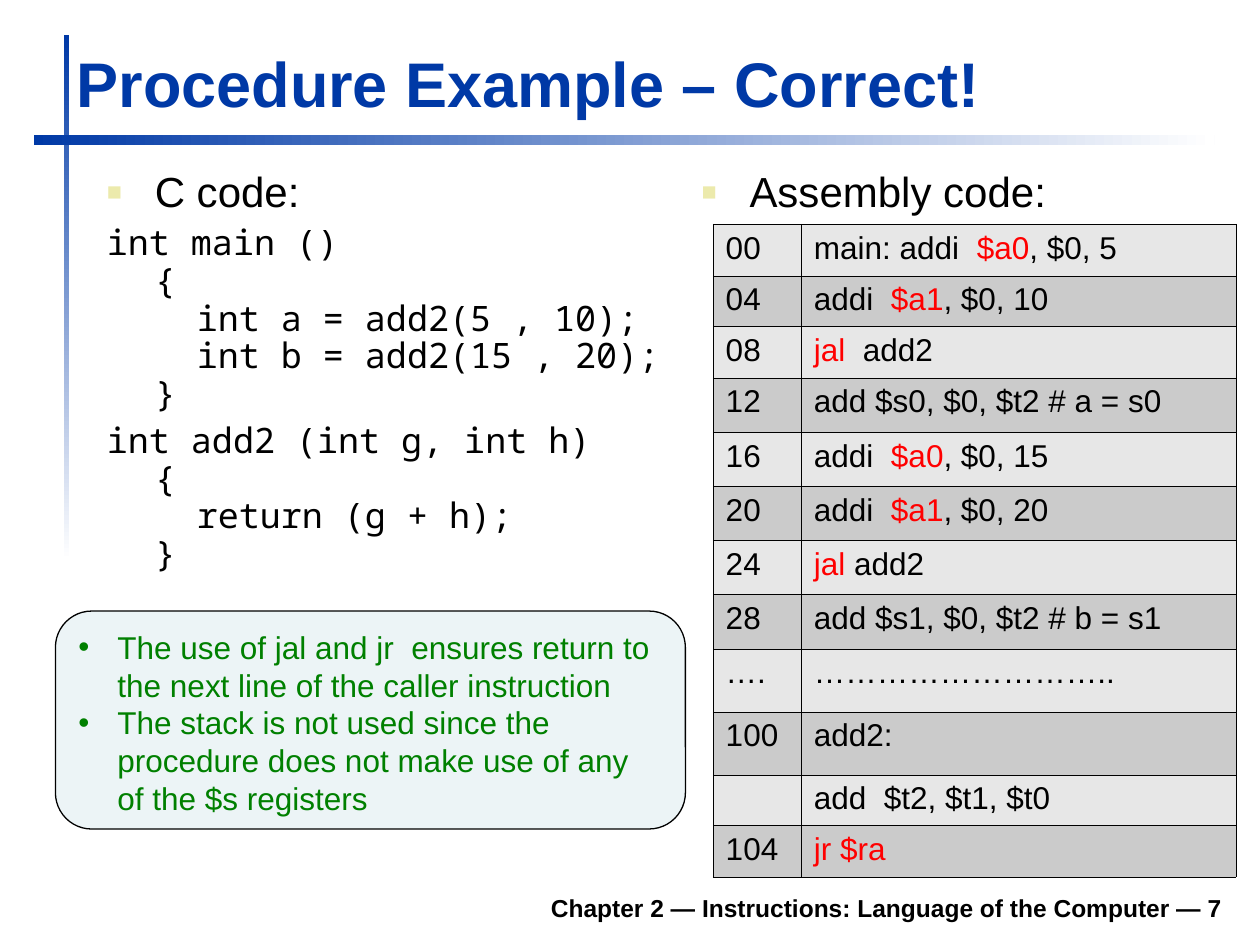
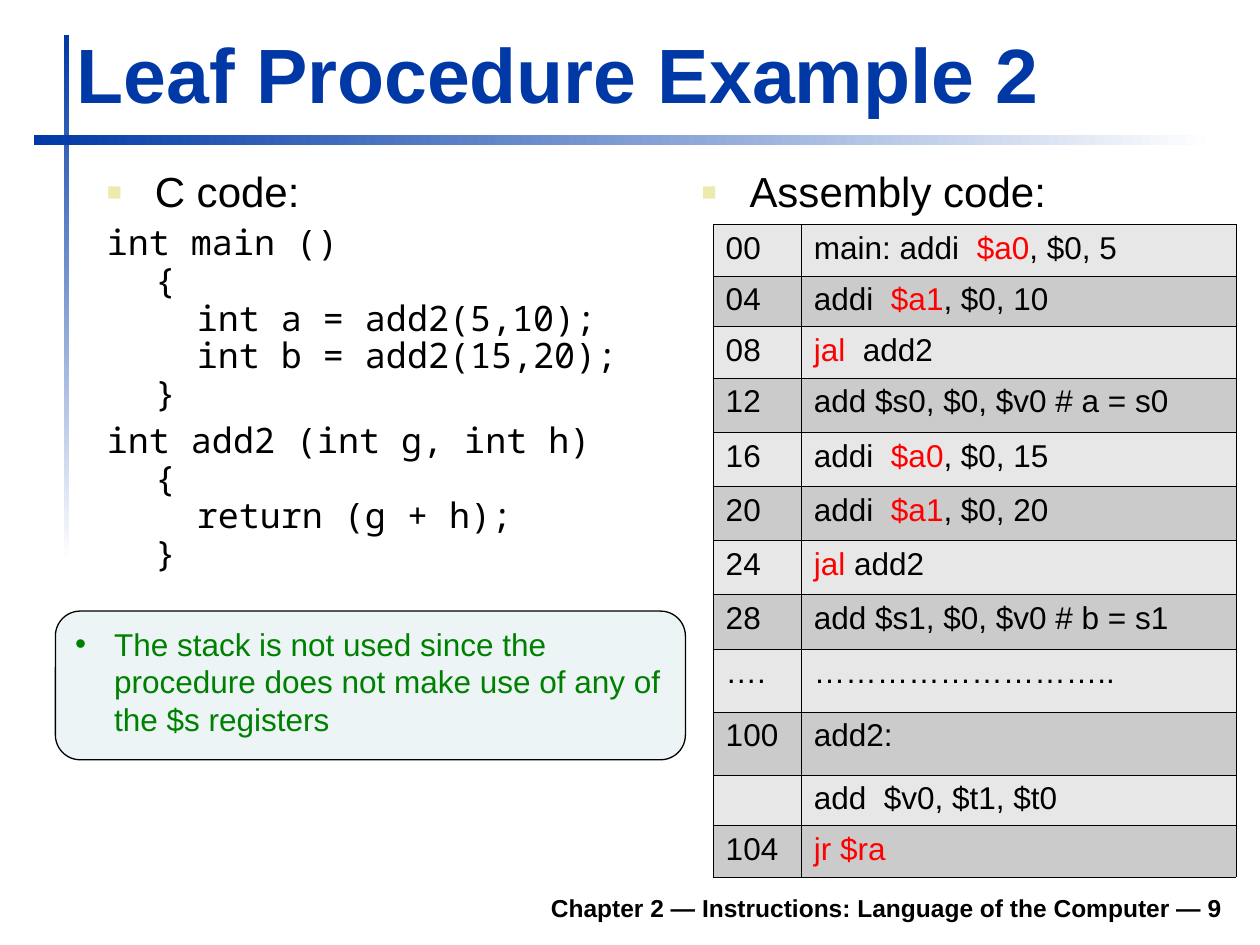
from lxml import etree
from pptx import Presentation
from pptx.dml.color import RGBColor
from pptx.enum.shapes import MSO_SHAPE
from pptx.enum.text import MSO_ANCHOR, PP_ALIGN
from pptx.oxml.ns import qn
from pptx.util import Inches, Pt

RECT, ROUND = MSO_SHAPE.RECTANGLE, MSO_SHAPE.ROUNDED_RECTANGLE
TOP, BOTTOM = MSO_ANCHOR.TOP, MSO_ANCHOR.BOTTOM
LEFT, RIGHT = PP_ALIGN.LEFT, PP_ALIGN.RIGHT
SANS, MONO = "Arial", "Noto Sans Mono"
HUES = {"blue": "0039A6", "white": "FFFFFF", "black": "000000",
        "red": "FF0000", "green": "008000", "sand": "ECEAAC",
        "mist": "ECF4F6", "light": "E7E7E7", "dark": "CBCBCB"}
RGB = {name: RGBColor.from_string(code) for name, code in HUES.items()}


def write(frame, text, size, hue="black", font=SANS, bold=False,
          align=LEFT, indent=0, bullet=None, space=0, pitch=None):
    """Add a paragraph; parts between asterisks are red."""
    para = frame.paragraphs[0]
    if para.runs:
        para = frame.add_paragraph()
        para.space_before = Pt(space)
    para.alignment = align
    if pitch:
        para.line_spacing = pitch
    props = para._p.get_or_add_pPr()
    if indent:
        props.set("marL", str(Inches(indent)))
        props.set("indent", str(-Inches(indent)))
    if bullet:
        mark, tint, scale = bullet
        tone = etree.SubElement(props, qn("a:buClr"))
        etree.SubElement(tone, qn("a:srgbClr"), val=HUES[tint])
        etree.SubElement(props, qn("a:buSzPct"), val=str(scale * 1000))
        etree.SubElement(props, qn("a:buFont"), typeface=SANS)
        etree.SubElement(props, qn("a:buChar"), char=mark)
    for row, line in enumerate(text.split("\n")):
        if row:
            para.add_line_break()
        for part, piece in enumerate(line.split("*")):
            if piece:
                run = para.add_run()
                run.text = piece
                run.font.name, run.font.size = font, Pt(size)
                run.font.bold = bold
                run.font.color.rgb = RGB["red" if part % 2 else hue]


def box(slide, left, top, width, height, anchor=TOP):
    """Add a wrapping text box and return its frame."""
    frame = slide.shapes.add_textbox(Inches(left), Inches(top),
                                     Inches(width), Inches(height)).text_frame
    frame.word_wrap = True
    frame.vertical_anchor = anchor
    return frame


# Shared content: {result} is the return register
BARS = [(0.51, 0.28, 0.04, 4.17, 270), (0.27, 1.07, 9.37, 0.08, 0)]
MAIN = """int main ()
{{
  int a = add2({first});
  int b = add2({second});
}}"""
ADD = """int add2 (int g, int h)
{
  return (g + h);
}"""
STEPS = [
    ("00", "main: addi  *$a0*, $0, 5", 0.41),
    ("04", "addi  *$a1*, $0, 10", 0.4),
    ("08", "*jal*  add2", 0.41),
    ("12", "add $s0, $0, {result} # a = s0", 0.43),
    ("16", "addi  *$a0*, $0, 15", 0.43),
    ("20", "addi  *$a1*, $0, 20", 0.43),
    ("24", "*jal* add2", 0.43),
    ("28", "add $s1, $0, {result} # b = s1", 0.43),
    ("….", "………………………..", 0.5),
    ("100", "add2:", 0.5),
    ("", "add  {result}, $t1, $t0", 0.4),
    ("104", "*jr $ra*", 0.41),
]
STACK = ("The stack is not used since the procedure does not make use "
         "of any of the $s registers")
JUMP = ("The use of jal and jr  ensures return to the next line "
        "of the caller instruction")
PAGES = [
    dict(title="Procedure Example – Correct!", size=36, top=0.29, tall=0.71,
         page=7, first="5 , 10", second="15 , 20", result="$t2",
         notes=[JUMP, STACK], depth=1.73),
    dict(title="Leaf Procedure Example 2", size=44, top=0.15, tall=0.84,
         page=9, first="5,10", second="15,20", result="$v0",
         notes=[STACK], depth=1.18),
]
SQUARE, DOT = ("■", "sand", 60), ("•", "green", 100)

deck = Presentation()
deck.slide_width, deck.slide_height = Inches(10), Inches(7.5)

for page in PAGES:
    slide = deck.slides.add_slide(deck.slide_layouts[6])

    # Fading bars
    for left, top, width, height, angle in BARS:
        bar = slide.shapes.add_shape(RECT, Inches(left), Inches(top),
                                     Inches(width), Inches(height))
        bar.shadow.inherit = False
        bar.line.fill.background()
        bar.fill.gradient()
        bar.fill.gradient_angle = angle
        for stop, hue in zip(bar.fill.gradient_stops, ("blue", "white")):
            stop.color.rgb = RGB[hue]

    # Footer and title
    write(box(slide, 1.85, 6.98, 7.95, 0.39, BOTTOM),
          f"Chapter 2 — Instructions: Language of the Computer — {page['page']}",
          14, bold=True, align=RIGHT)
    write(box(slide, 0.51, page["top"], 9.68, page["tall"], BOTTOM),
          page["title"], page["size"], "blue", bold=True)

    # C code and assembly heading
    code = box(slide, 0.75, 1.31, 4.72, 5.5)
    write(code, "C code:", 24, indent=0.38, bullet=SQUARE, pitch=0.9)
    for block in (MAIN.format(**page), ADD):
        write(code, block, 20, font=MONO, indent=0.38, space=5, pitch=0.9)
    write(box(slide, 5.47, 1.31, 4.41, 0.45), "Assembly code:", 24,
          indent=0.38, bullet=SQUARE, pitch=0.9)

    # Assembly table
    grid = slide.shapes.add_table(len(STEPS), 2, Inches(5.66), Inches(1.78),
                                  Inches(4.15), Inches(5.15)).table
    grid.first_row = grid.horz_banding = False
    grid.columns[0].width, grid.columns[1].width = Inches(0.7), Inches(3.45)
    for row, (place, step, height) in enumerate(STEPS):
        grid.rows[row].height = Inches(height)
        for col, text in enumerate((place, step.format(**page))):
            cell = grid.cell(row, col)
            write(cell.text_frame, text, 18)
            cell.fill.solid()
            cell.fill.fore_color.rgb = RGB["dark" if row % 2 else "light"]
            props = cell._tc.get_or_add_tcPr()
            for spot, side in enumerate(("lnL", "lnR", "lnT", "lnB")):
                edge = etree.Element(qn("a:" + side), w=str(Pt(0.45)))
                paint = etree.SubElement(edge, qn("a:solidFill"))
                etree.SubElement(paint, qn("a:srgbClr"), val=HUES["black"])
                props.insert(spot, edge)

    # Note
    note = slide.shapes.add_shape(ROUND, Inches(0.44), Inches(4.85),
                                  Inches(5), Inches(page["depth"]))
    note.shadow.inherit = False
    note.fill.solid()
    note.fill.fore_color.rgb = RGB["mist"]
    note.line.color.rgb = RGB["black"]
    note.line.width = Pt(0.75)
    note.text_frame.word_wrap = True
    note.text_frame.vertical_anchor = TOP
    for text in page["notes"]:
        write(note.text_frame, text, 18, "green", indent=0.31, bullet=DOT)

deck.save("out.pptx")
